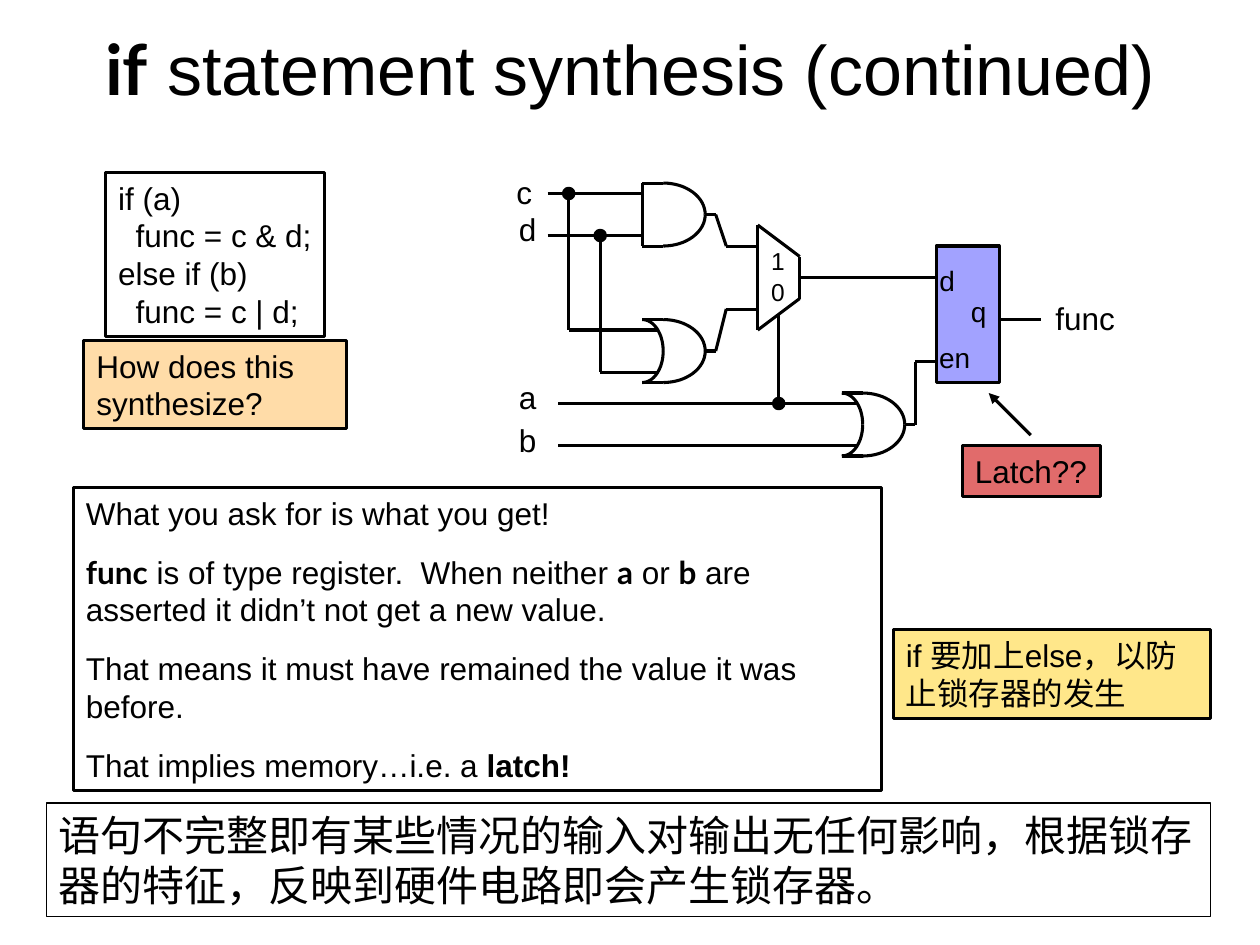
from dataclasses import dataclass
from math import cos, pi, sin
from typing import NamedTuple

from lxml.etree import SubElement
from pptx import Presentation
from pptx.dml.color import RGBColor
from pptx.enum.shapes import MSO_CONNECTOR as Connector, MSO_SHAPE as Shape
from pptx.enum.text import MSO_ANCHOR as Anchor, MSO_AUTO_SIZE as AutoSize, PP_ALIGN as Align
from pptx.oxml.ns import qn
from pptx.util import Pt

BLACK = "000000"
BODY_FONT, KEYWORD_FONT = "Arial", "Lato"
LINE_WIDTH = 1.75


class Run(NamedTuple):
    text: str
    bold: bool = False
    font: str = BODY_FONT


class Point(NamedTuple):
    """A node of the circuit's 6-point grid."""
    column: float
    row: float

    @property
    def x(self) -> float:
        return 6 * self.column + 1

    @property
    def y(self) -> float:
        return 6 * self.row + 2.6


@dataclass
class Box:
    left: float
    top: float
    width: float
    height: float
    paragraphs: list[list[Run]]
    size: float = 18
    fill: str | None = None
    opacity: int = 100
    line_width: float = LINE_WIDTH
    gap: float = 0
    wrap: bool = True


@dataclass
class Label:
    text: str
    left: float
    top: float
    width: float
    size: float = 18


@dataclass
class Gate:
    column: float
    row: float
    is_or: bool


def keyword(text: str) -> Run:
    return Run(text, True, KEYWORD_FONT)


def lines(*texts: str) -> list[list[Run]]:
    return [[Run(text)] for text in texts]


def color(hex_value: str) -> RGBColor:
    return RGBColor.from_string(hex_value)


def write(frame, paragraphs: list[list[Run]], size: float, gap: float = 0) -> None:
    for index, runs in enumerate(paragraphs):
        paragraph = frame.paragraphs[0] if index == 0 else frame.add_paragraph()
        paragraph.alignment = Align.LEFT
        if index and gap:
            paragraph.space_before = Pt(gap)
        font = paragraph.font
        font.name, font.size, font.bold = BODY_FONT, Pt(size), False
        font.color.rgb = color(BLACK)
        for part in runs:
            run = paragraph.add_run()
            run.text = part.text
            if part.bold:
                run.font.name, run.font.bold = part.font, True


def style(shape, fill: str | None = None, opacity: int = 100, line_width: float = LINE_WIDTH) -> None:
    shape.shadow.inherit = False
    shape.line.color.rgb = color(BLACK)
    shape.line.width = Pt(line_width)
    if fill is None:
        shape.fill.background()
        return
    shape.fill.solid()
    shape.fill.fore_color.rgb = color(fill)
    if opacity < 100:
        rgb = shape.fill._xPr.find(f".//{qn('a:srgbClr')}")
        SubElement(rgb, qn("a:alpha"), val=str(opacity * 1000))


def draw_box(shapes, box: Box) -> None:
    shape = shapes.add_shape(Shape.RECTANGLE, Pt(box.left), Pt(box.top), Pt(box.width), Pt(box.height))
    style(shape, box.fill, box.opacity, box.line_width)
    frame = shape.text_frame
    frame.word_wrap = box.wrap
    frame.vertical_anchor = Anchor.TOP
    write(frame, box.paragraphs, box.size, box.gap)


def draw_label(shapes, label: Label) -> None:
    height = label.size * 1.2 + 7.2
    frame = shapes.add_textbox(Pt(label.left), Pt(label.top), Pt(label.width), Pt(height)).text_frame
    frame.word_wrap = False
    write(frame, lines(label.text), label.size)


def draw_wire(shapes, start: Point, end: Point, arrow: bool = False) -> None:
    wire = shapes.add_connector(Connector.STRAIGHT, Pt(start.x), Pt(start.y), Pt(end.x), Pt(end.y))
    wire.line.color.rgb = color(BLACK)
    wire.line.width = Pt(LINE_WIDTH)
    if arrow:
        SubElement(wire.line._get_or_add_ln(), qn("a:tailEnd"), type="triangle")
    SubElement(wire._element.spPr, qn("a:effectLst"))


def draw_path(shapes, *nodes: Point) -> None:
    for start, end in zip(nodes, nodes[1:]):
        draw_wire(shapes, start, end)


def draw_arcs(shapes, center: Point, columns: float, rows: float = 3, steps: int = 16) -> None:
    """Draw the upper and lower quarter arcs that bulge right of center."""
    for side in (-1, 1):
        nodes = [Point(center.column + columns * sin(angle), center.row + side * rows * cos(angle))
                 for angle in (pi / 2 * step / steps for step in range(steps + 1))]
        points = [(Pt(node.x), Pt(node.y)) for node in nodes]
        builder = shapes.build_freeform(*points[0])
        builder.add_line_segments(points[1:], close=False)
        style(builder.convert_to_shape())


def draw_gate(shapes, gate: Gate) -> None:
    column, row = gate.column, gate.row
    draw_arcs(shapes, Point(column + 2, row), 4)
    for side in (-1, 1):
        draw_wire(shapes, Point(column + 2, row + 3 * side), Point(column, row + 3 * side))
        input_end = column + 1.5 if gate.is_or else column
        draw_wire(shapes, Point(input_end, row + 2 * side), Point(column - 1, row + 2 * side))
    if gate.is_or:
        draw_arcs(shapes, Point(column, row), 2)
    else:
        draw_wire(shapes, Point(column, row - 3), Point(column, row + 3))
    draw_wire(shapes, Point(column + 6, row), Point(column + 7, row))


def draw_dot(shapes, node: Point) -> None:
    dot = shapes.add_shape(Shape.OVAL, Pt(node.x - 3), Pt(node.y - 3), Pt(6), Pt(6))
    style(dot, BLACK)


BOXES = [
    Box(60.5, 98.5, 125, 94, lines("if (a)", "  func = c & d;", "else if (b)", "  func = c | d;"), wrap=False),
    Box(48, 194.5, 150, 50.5, lines("How does this", "synthesize?"), fill="FF9900", opacity=34),
    Box(535, 140.6, 36, 78, [], fill="6969FF", opacity=62),
    Box(550, 254.6, 79, 29, lines("Latch??"), fill="CC0000", opacity=58, wrap=False),
    Box(42, 278.6, 462, 173, [
        [Run("What you ask for is what you get!")],
        [keyword("func"), Run(" is of type register.  When neither "), keyword("a"), Run(" or "),
         keyword("b"), Run(" are asserted it didn’t not get a new value.")],
        [Run("That means it must have remained the value it was before.")],
        [Run("That implies memory…i.e. a "), Run("latch!", True)],
    ], gap=12),
    Box(510.5, 360, 181.5, 50.5, lines("if 要加上else，以防止锁存器的发生"), fill="FFCC00", opacity=46),
    Box(26.6, 458.8, 665.2, 65, lines("语句不完整即有某些情况的输入对输出无任何影响，根据锁存器的特征，反映到硬件电路即会产生锁存器。"),
        size=24, line_width=0.75),
]
LABELS = [
    Label("c", 288, 95.3, 24), Label("d", 289.5, 116.6, 25),
    Label("a", 289.5, 212.6, 25), Label("b", 289.5, 237, 25), Label("func", 596, 167.3, 50),
    Label("1", 433.5, 136.8, 23, 14), Label("0", 433.5, 154.8, 23, 14),
    Label("d", 529.7, 146.9, 24, 16), Label("q", 547.7, 164.9, 24, 16), Label("en", 529.5, 190.8, 34, 16),
]
GATES = [Gate(61, 20, False), Gate(61, 33, True), Gate(80, 40, True)]
MULTIPLEXER = [(72, 21), (76, 24), (76, 28), (72, 31), (72, 21)]
WIRES = [
    [(52, 18), (60, 18)], [(52, 22), (60, 22)],
    [(54, 18), (54, 31), (60, 31)], [(57, 22), (57, 35), (60, 35)],
    [(68, 20), (69, 23), (72, 23)], [(68, 33), (69, 29), (72, 29)],
    [(76, 26), (78, 26), (89, 26)], [(74, 29.5), (74, 33), (74, 38)],
    [(53, 38), (79, 38)], [(53, 42), (79, 42)],
    [(87, 40), (87, 34), (89, 34)], [(95, 30), (99, 30)],
]
JUNCTIONS = [Point(54, 18), Point(57, 22), Point(74, 38)]


def draw_title(slide) -> None:
    title = slide.shapes.title
    title.left, title.top, title.width, title.height = Pt(36), Pt(5), Pt(648), Pt(61.2)
    frame = title.text_frame
    frame.auto_size = AutoSize.NONE
    frame.vertical_anchor = Anchor.BOTTOM
    write(frame, [[keyword("if"), Run(" statement synthesis (continued)")]], 40)
    frame.paragraphs[0].alignment = Align.CENTER


def main() -> None:
    presentation = Presentation()
    presentation.slide_width, presentation.slide_height = Pt(720), Pt(540)
    slide = presentation.slides.add_slide(presentation.slide_layouts[5])
    shapes = slide.shapes
    draw_title(slide)
    for box in BOXES:
        draw_box(shapes, box)
    for gate in GATES:
        draw_gate(shapes, gate)
    for nodes in [MULTIPLEXER, *WIRES]:
        draw_path(shapes, *(Point(*node) for node in nodes))
    draw_wire(shapes, Point(98, 41), Point(94, 37), arrow=True)
    for junction in JUNCTIONS:
        draw_dot(shapes, junction)
    for label in LABELS:
        draw_label(shapes, label)
    presentation.save("out.pptx")


if __name__ == "__main__":
    main()
